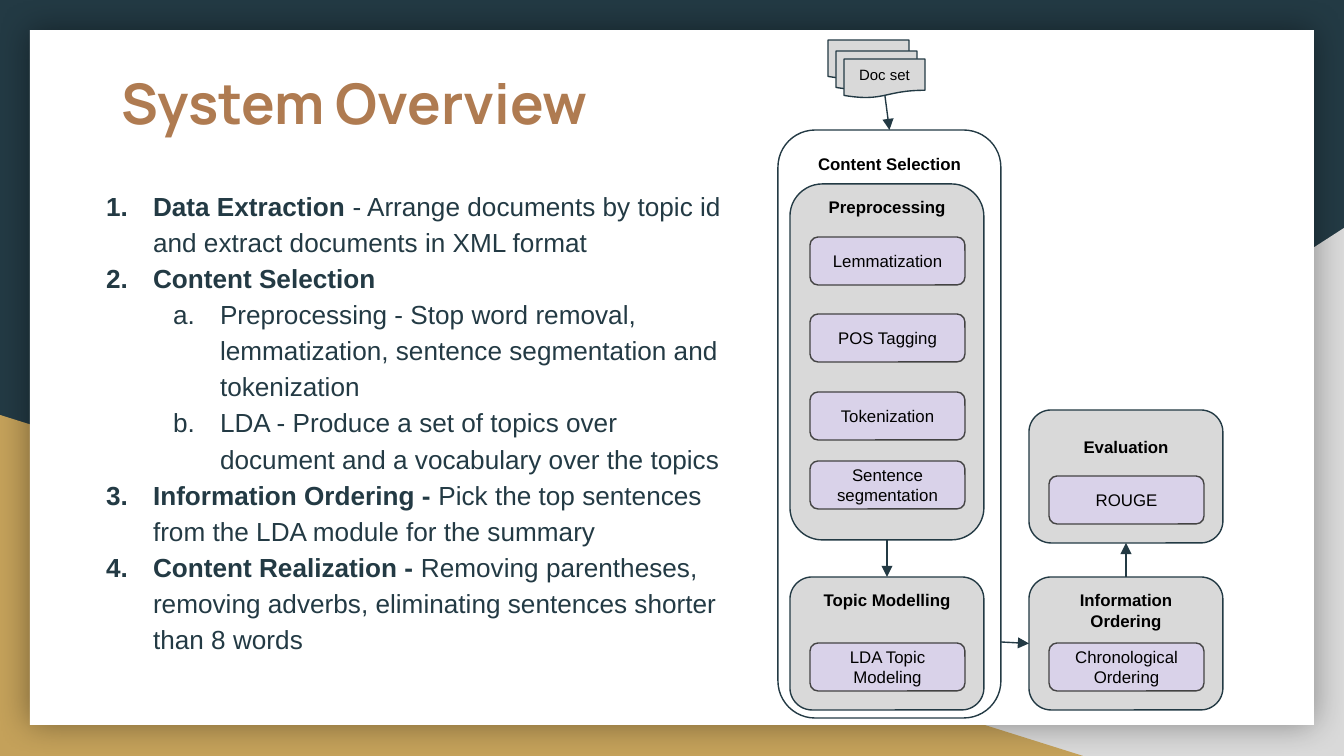
from lxml.etree import SubElement
from pptx import Presentation
from pptx.dml.color import RGBColor
from pptx.enum.shapes import MSO_CONNECTOR, MSO_SHAPE
from pptx.enum.text import MSO_ANCHOR, MSO_AUTO_SIZE, PP_ALIGN
from pptx.oxml.ns import qn
from pptx.util import Pt

NAVY = RGBColor(0x23, 0x3A, 0x44)
GOLD = RGBColor(0xC4, 0xA1, 0x5A)
COPPER = RGBColor(0xAF, 0x7B, 0x51)
GREY = RGBColor(0xD9, 0xD9, 0xD9)
LILAC = RGBColor(0xD9, 0xD2, 0xE9)
CHARCOAL = RGBColor(0x43, 0x43, 0x43)
BLACK = RGBColor(0, 0, 0)
WHITE = RGBColor(0xFF, 0xFF, 0xFF)

EMU_PER_PX = 914400 / 134.4
STEP_W, STEP_H = 155, 48

TITLE = {"name": "Manrope", "size": Pt(30), "bold": True}
BODY = {"name": "Arial", "size": Pt(14)}
HEADING = {"name": "Arial", "size": Pt(9), "bold": True}
STEP = {"name": "Arial", "size": Pt(9), "bold": False}
DOC = {"name": "Arial", "size": Pt(8), "bold": False}

OUTLINE = [
    (0, "Data Extraction", " - Arrange documents by topic id and extract documents in XML format"),
    (0, "Content Selection", ""),
    (1, "", "Preprocessing - Stop word removal, lemmatization, sentence segmentation and tokenization"),
    (1, "", "LDA - Produce a set of topics over document and a vocabulary over the topics"),
    (0, "Information Ordering - ", "Pick the top sentences from the LDA module for the summary"),
    (0, "Content Realization - ", "Removing parentheses, removing adverbs, "
        "eliminating sentences shorter than 8 words"),
]


def px(n):
    """Turn a length in px into EMU."""
    return round(n * EMU_PER_PX)


def set_all(obj, fmt):
    """Set each attribute named in a dict of format values."""
    for name, value in fmt.items():
        setattr(obj, name, value)


def set_frame(tf, anchor):
    """Give a text frame its insets, wrapping and anchor."""
    inset = px(13)
    set_all(tf, {"margin_left": inset, "margin_right": inset, "margin_top": inset,
                 "margin_bottom": inset, "auto_size": MSO_AUTO_SIZE.NONE,
                 "word_wrap": True, "vertical_anchor": anchor})


def add_run(p, text, fmt, color):
    """Add one formatted run to a paragraph."""
    r = p.add_run()
    r.text = text
    set_all(r.font, fmt)
    r.font.color.rgb = color


def write_centred(sp, text, fmt, anchor):
    """Write one centred label into a shape."""
    set_frame(sp.text_frame, anchor)
    p = sp.text_frame.paragraphs[0]
    p.alignment = PP_ALIGN.CENTER
    add_run(p, text, fmt, BLACK)


def add_box(s, kind, box, fill=None, line=None):
    """Add a preset shape with flat fill and thin line."""
    sp = s.shapes.add_shape(kind, *map(px, box))
    sp.shadow.inherit = False
    if fill is None:
        sp.fill.background()
    else:
        sp.fill.solid()
        sp.fill.fore_color.rgb = fill
    if line is None:
        sp.line.fill.background()
    else:
        sp.line.color.rgb = line
        sp.line.width = Pt(0.75)
    return sp


def add_heading(s, box, text):
    """Add a bold centred text box."""
    sp = s.shapes.add_textbox(*map(px, box))
    write_centred(sp, text, HEADING, MSO_ANCHOR.TOP)


def add_arrow(s, start, end, source=None, target=None):
    """Add an arrow, joined to (shape, site) pairs where given."""
    c = s.shapes.add_connector(MSO_CONNECTOR.STRAIGHT, *map(px, start + end))
    if source:
        c.begin_connect(*source)
    if target:
        c.end_connect(*target)
    c.line.color.rgb = NAVY
    c.line.width = Pt(0.75)
    SubElement(c.line._get_or_add_ln(), qn("a:tailEnd"), type="triangle")
    SubElement(c._element.spPr, qn("a:effectLst"))


def add_backdrop(s, w, h):
    """Lay the coloured corners and the white card behind everything else."""
    s.background.fill.solid()
    s.background.fill.fore_color.rgb = NAVY
    right = add_box(s, MSO_SHAPE.RIGHT_TRIANGLE, (w - 817, h - 528, 817, 528), GREY)
    right._element.spPr.xfrm.set("flipH", "1")
    left = add_box(s, MSO_SHAPE.RIGHT_TRIANGLE, (0, h - 341, 1083, 341), GOLD)
    card = add_box(s, MSO_SHAPE.RECTANGLE, (30, 30, w - 60, h - 60 - 1), WHITE)
    effects = card._element.spPr.find(qn("a:effectLst"))
    shadow = SubElement(effects, qn("a:outerShdw"), blurRad=str(Pt(18)), dist="0", dir="0",
                        algn="ctr", rotWithShape="0")
    color = SubElement(shadow, qn("a:srgbClr"), val=str(BLACK))
    SubElement(color, qn("a:alpha"), val="40000")
    for i, sp in enumerate((right, left, card)):
        s.shapes._spTree.insert(2 + i, sp._element)


def place(sp, box):
    """Move a placeholder to a box."""
    set_all(sp, dict(zip(("left", "top", "width", "height"), map(px, box))))
    set_frame(sp.text_frame, MSO_ANCHOR.TOP)


def fill_title(sp, box, text):
    """Place and format the title."""
    place(sp, box)
    p = sp.text_frame.paragraphs[0]
    p.alignment = PP_ALIGN.LEFT
    add_run(p, text, TITLE, COPPER)


def fill_outline(sp, box, items):
    """Place and format the two-level numbered list."""
    place(sp, box)
    tf = sp.text_frame
    for i, (level, lead, rest) in enumerate(items):
        p = tf.add_paragraph() if i else tf.paragraphs[0]
        set_all(p, {"level": level, "line_spacing": 1.15, "alignment": PP_ALIGN.LEFT,
                    "space_before": Pt(0), "space_after": Pt(0)})
        pPr = p._p.get_or_add_pPr()
        pPr.set("marL", str(px(67 * (level + 1))))
        pPr.set("indent", str(px(-47)))
        SubElement(pPr, qn("a:buFont"), typeface="Arial")
        SubElement(pPr, qn("a:buAutoNum"), type=("arabicPeriod", "alphaLcPeriod")[level])
        for text, bold in ((lead, True), (rest, False)):
            if text:
                add_run(p, text, {**BODY, "bold": bold}, NAVY)


def add_doc_stack(s, x, y):
    """Add the three stacked documents, the front one labelled."""
    for dx, dy in ((0, 0), (8, 11), (16, 19)):
        sp = add_box(s, MSO_SHAPE.FLOWCHART_DOCUMENT, (x + dx, y + dy, 81, 39), GREY, NAVY)
    write_centred(sp, "Doc set", DOC, MSO_ANCHOR.MIDDLE)


def add_module(s, box, heading, steps, heading_dy=0):
    """Add a grey module with a heading and steps at offsets from its top."""
    x, y, w, h = box
    module = add_box(s, MSO_SHAPE.ROUNDED_RECTANGLE, box, GREY, NAVY)
    add_heading(s, (x + 5, y + heading_dy, w - 10, 31), heading)
    for dy, text in steps:
        sp = add_box(s, MSO_SHAPE.ROUNDED_RECTANGLE,
                     (x + (w - STEP_W) // 2 + 1, y + dy, STEP_W, STEP_H), LILAC, CHARCOAL)
        write_centred(sp, text, STEP, MSO_ANCHOR.MIDDLE)
    return module


def add_pipeline(s, x, y):
    """Add the flow diagram with its top left corner at x, y."""
    add_doc_stack(s, x + 50, y)
    frame = add_box(s, MSO_SHAPE.FLOWCHART_ALTERNATE_PROCESS, (x, y + 90, 223, 588), None, NAVY)
    add_heading(s, (x + 20, y + 101, 183, 40), "Content Selection")
    near, far, low = x + 12, x + 251, y + 537
    pre = add_module(s, (near, y + 144, 194, 356), "Preprocessing",
                     [(53, "Lemmatization"), (130, "POS Tagging"),
                      (208, "Tokenization"), (277, "Sentence segmentation")])
    topic = add_module(s, (near, low, 194, 133), "Topic Modelling", [(66, "LDA Topic Modeling")])
    order = add_module(s, (far, low, 194, 133), "Information Ordering",
                       [(66, "Chronological Ordering")])
    score = add_module(s, (far, y + 370, 194, 133), "Evaluation", [(66, "ROUGE")], 14)
    add_arrow(s, (x + 107, y + 56), (x + 111, y + 90), None, (frame, 0))
    add_arrow(s, (near + 97, y + 500), (near + 97, low), (pre, 2), (topic, 0))
    add_arrow(s, (x + 223, low + 65), (far, low + 66), None, (order, 1))
    add_arrow(s, (far + 97, low), (far + 97, y + 503), (order, 0), (score, 2))


def main():
    """Build the slide and save it."""
    prs = Presentation()
    w, h = 1344, 756
    prs.slide_width, prs.slide_height = px(w), px(h)
    s = prs.slides.add_slide(prs.slide_layouts[1])
    add_backdrop(s, w, h)
    fill_title(s.shapes.title, (108, 56, 642, 85), "System Overview")
    fill_outline(s.placeholders[1], (73, 173, 676, 503), OUTLINE)
    add_pipeline(s, 778, 40)
    prs.save("out.pptx")


if __name__ == "__main__":
    main()
